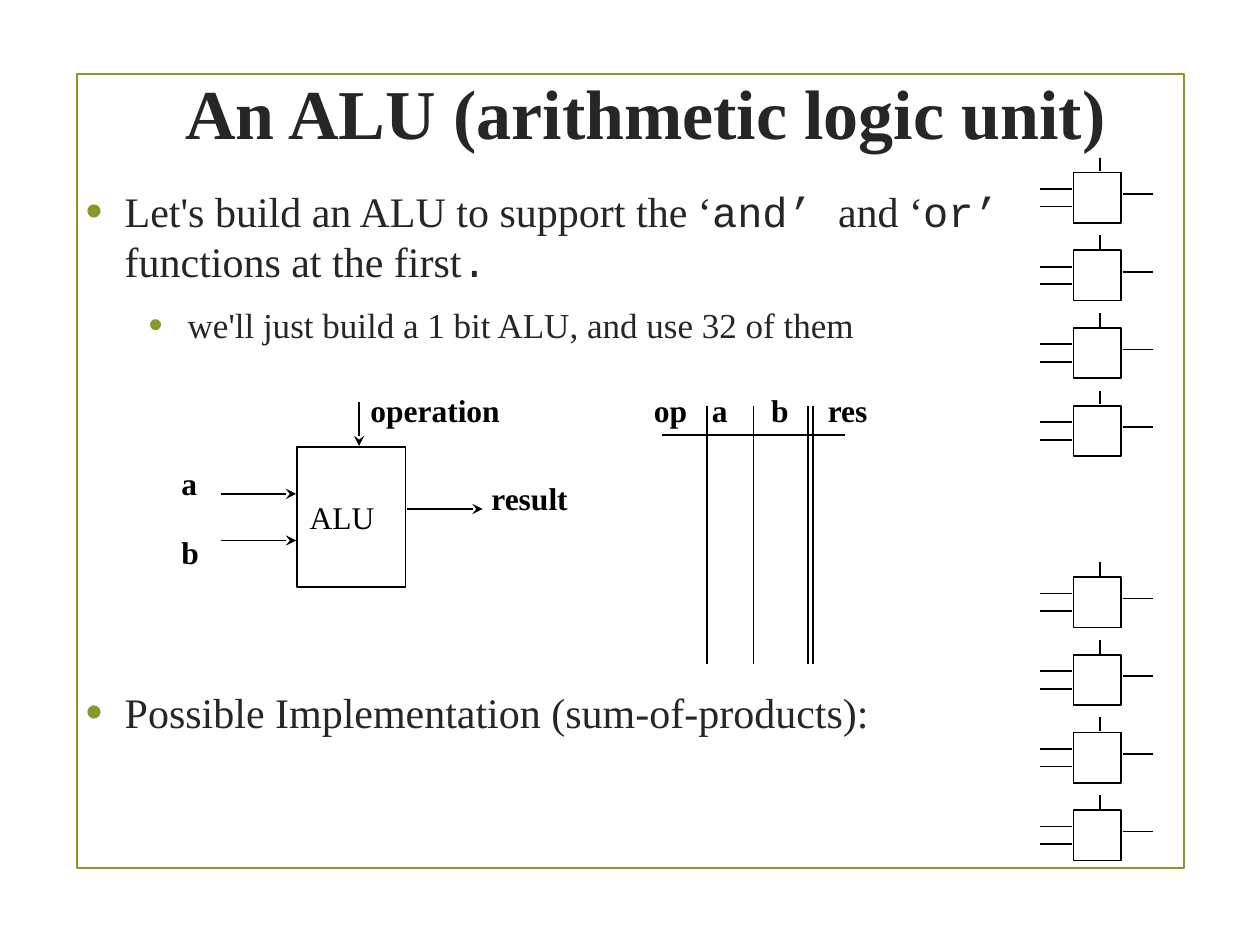
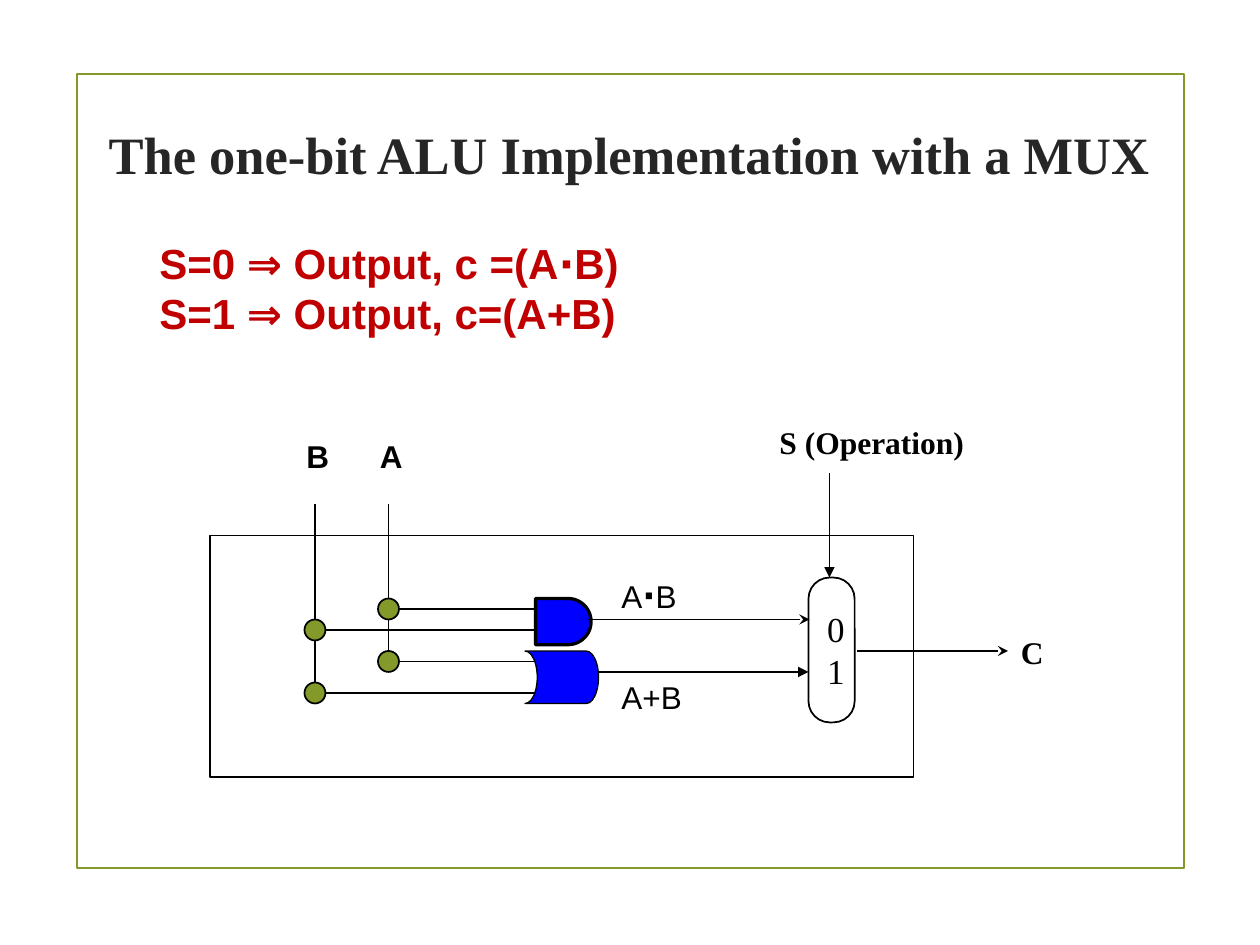
import math
import pptx
import pptx.util
import pptx.dml.color
import pptx.enum.shapes
import pptx.enum.text
import pptx.oxml.ns
from lxml import etree

RGB = pptx.dml.color.RGBColor
Kind = pptx.enum.shapes.MSO_SHAPE
Align = pptx.enum.text.PP_ALIGN
Anchor = pptx.enum.text.MSO_ANCHOR
Inch = pptx.util.Inches
Pt = pptx.util.Pt
qn = pptx.oxml.ns.qn

BLACK = RGB(0, 0, 0)
WHITE = RGB(255, 255, 255)
INK = RGB(0x26, 0x26, 0x26)
OLIVE = RGB(0x83, 0x99, 0x2A)
BLUE = RGB(0, 0, 255)
RED = RGB(0xC0, 0, 0)
SERIF, SANS, MONO = "Times New Roman", "Arial", "Courier New"
CODE = {"font": MONO}
CELL = 1 / 12

FRAME = (0.61, 0.59, 8.79, 6.3)
LABEL = {"bold": True, "inset": (0.02, 0.03), "wrap": False,
         "lead": 27, "before": 6, "after": 6}

POINTS = [
    (0, None, ["Let's build an ALU to support the ‘", ("and’ ", CODE), "and ‘",
               ("or’", CODE), " functions at the first", (".", CODE)]),
    (1, None, ["we'll just build a 1 bit ALU, and use 32 of them"]),
    (0, 189, ["Possible Implementation (sum-of-products):"]),
]
TAGS = [
    (["a", "b"], (1.42, 3.58, 0.25, 1)),
    (["operation"], (2.92, 3, 1.44, 0.5)),
    (["result"], (3.88, 3.7, 0.88, 0.67)),
]
PINS = [
    (1.75, 3.92, 2.35, 3.92),
    (1.75, 4.29, 2.35, 4.29),
    (2.85, 3.19, 2.85, 3.54),
    (3.23, 4.04, 3.83, 4.04),
]
HEADS = [("op", 5.17), ("a", 5.63), ("b", 6.1), ("res", 6.55)]
RULES = [5.61, 5.98, 6.41, 6.45]
STACKS = [1.37, 4.58]
PITCH = 1.85 / 3
STUBS = [
    (-0.27, 0.13, -0.01, 0.13),
    (-0.27, 0.27, -0.01, 0.27),
    (0.21, -0.12, 0.21, -0.01),
    (0.39, 0.17, 0.63, 0.17),
]

WIRES = [
    (70, 59, 77.1, 59, 1, "stealth"),
    (81.6, 62, 96, 62, 1, "stealth"),
    (37, 63, 51, 63, 0.75, None),
    (30, 66, 51, 66, 0.75, None),
    (57, 64, 77, 64, 0.75, "triangle"),
    (70, 59, 56, 59, 1, None),
    (51, 58, 37, 58, 1, None),
    (37, 63, 37, 48, 1, None),
    (51, 60, 30, 60, 1, None),
    (30, 66, 30, 48, 1, None),
    (79, 45, 79, 55, 1, "triangle"),
]
DOTS = [(37, 58), (37, 63), (30, 60), (30, 66)]
NAMES = [
    (["S (Operation)"], (74, 39, 7.5, 8), LABEL),
    (["C"], (97, 59, 7.5, 8), LABEL),
    (["A"], (35, 41, 4, 4.8), {"font": SANS, "bold": True}),
    (["B"], (28, 41, 4, 4.8), {"font": SANS, "bold": True}),
    (["A+B"], (58, 64, 10, 4.8), {"font": SANS}),
    ([["A", ("⋅", {"size": 20, "bold": True}), "B"]], (58, 54, 10, 5.2),
     {"font": SANS}),
    (["S=0 ⇒ Output, c =(A⋅B)", "S=1 ⇒ Output, c=(A+B)"], (14, 22, 55, 11),
     {"font": SANS, "size": 24, "bold": True, "ink": RED}),
]


def cells(*nums):
    return [n * CELL for n in nums]


def write(frame, paras, size=18, font=SERIF, ink=BLACK, bold=False,
          align=Align.LEFT, anchor=Anchor.TOP, wrap=True, inset=(0.1, 0.05),
          lead=None, before=None, after=None):
    frame.auto_size = pptx.enum.text.MSO_AUTO_SIZE.NONE
    frame.word_wrap = wrap
    frame.vertical_anchor = anchor
    frame.margin_left = frame.margin_right = Inch(inset[0])
    frame.margin_top = frame.margin_bottom = Inch(inset[1])
    for i, runs in enumerate(paras):
        para = frame.add_paragraph() if i else frame.paragraphs[0]
        para.alignment = align
        if lead:
            para.line_spacing = Pt(lead)
        if before is not None:
            para.space_before = Pt(before)
        if after is not None:
            para.space_after = Pt(after)
        for part in [runs] if isinstance(runs, str) else runs:
            text, own = (part, {}) if isinstance(part, str) else part
            run = para.add_run()
            run.text = text
            run.font.size = Pt(own.get("size", size))
            run.font.name = own.get("font", font)
            run.font.bold = own.get("bold", bold)
            run.font.color.rgb = ink


def place(item, area):
    item.left, item.top, item.width, item.height = map(Inch, area)


def paint(item, fill, edge, weight):
    item.shadow.inherit = False
    if fill is None:
        item.fill.background()
    else:
        item.fill.solid()
        item.fill.fore_color.rgb = fill
    item.line.color.rgb = edge
    item.line.width = Pt(weight)
    return item


def shape(slide, kind, area, fill=WHITE, edge=BLACK, weight=1):
    item = slide.shapes.add_shape(kind, *map(Inch, area))
    return paint(item, fill, edge, weight)


def label(slide, paras, area, **form):
    box = slide.shapes.add_textbox(*map(Inch, area))
    write(box.text_frame, paras, **form)


def wire(slide, ends, weight=1, tip=None):
    link = slide.shapes.add_connector(
        pptx.enum.shapes.MSO_CONNECTOR.STRAIGHT, *map(Inch, ends))
    link.line.color.rgb = BLACK
    link.line.width = Pt(weight)
    props = link._element.spPr
    if tip:
        etree.SubElement(props.find(qn("a:ln")), qn("a:tailEnd"), type=tip)
    etree.SubElement(props, qn("a:effectLst"))


def bullet(para, level):
    para.level = level
    props = para._p.get_or_add_pPr()
    props.set("marL", str(Inch(0.31 + level / 2)))
    props.set("indent", str(Inch(-0.31)))
    tint = etree.SubElement(props, qn("a:buClr"))
    etree.SubElement(tint, qn("a:srgbClr"), val=str(OLIVE))
    etree.SubElement(props, qn("a:buSzPct"), val="115000")
    etree.SubElement(props, qn("a:buFont"), typeface=SANS)
    etree.SubElement(props, qn("a:buChar"), char="•")


def start(deck, layout, title, area, size):
    slide = deck.slides.add_slide(deck.slide_layouts[layout])
    shape(slide, Kind.RECTANGLE, FRAME, None, OLIVE, 1.25)
    place(slide.shapes.title, area)
    write(slide.shapes.title.text_frame, [title], size=size, ink=INK,
          bold=True, align=Align.CENTER, anchor=Anchor.MIDDLE)
    return slide


def intro(deck):
    slide = start(deck, 1, "An ALU (arithmetic logic unit)",
                  (0.75, 0.17, 8.75, 1.43), 40)
    body = slide.placeholders[1]
    place(body, (0.58, 1.42, 8.42, 5.33))
    write(body.text_frame, [runs for _, _, runs in POINTS], size=24,
          ink=INK, after=6)
    for para, (level, gap, _) in zip(body.text_frame.paragraphs, POINTS):
        if gap:
            para.space_before = Pt(gap)
        for run in para.runs:
            run.font.size = Pt(24 - 4 * level)
        bullet(para, level)

    unit = shape(slide, Kind.RECTANGLE, (2.36, 3.55, 0.86, 1.11))
    write(unit.text_frame, ["ALU"], anchor=Anchor.MIDDLE, wrap=False)
    for ends in PINS:
        wire(slide, ends, tip="stealth")
    for paras, area in TAGS:
        label(slide, paras, area, **LABEL)

    for x in RULES:
        wire(slide, (x, 3.22, x, 5.27))
    wire(slide, (5.25, 3.45, 6.71, 3.45))
    for text, x in HEADS:
        label(slide, [text], (x, 3, 0.6, 0.67), **LABEL)

    x = 8.52
    for top in STACKS:
        for row in range(4):
            y = top + row * PITCH
            shape(slide, Kind.RECTANGLE, (x, y, 0.38, 0.4))
            for x1, y1, x2, y2 in STUBS:
                wire(slide, (x + x1, y + y1, x + x2, y + y2))


def gate(slide, left, top, flat, half):
    turns = [math.radians(a) for a in range(-90, 91, 6)]
    arc = [(left + flat + half * math.cos(t), top + half + half * math.sin(t))
           for t in turns]
    dots = [tuple(map(Inch, cells(*p))) for p in arc + [(left, top + 2 * half)]]
    pen = slide.shapes.build_freeform(*map(Inch, cells(left, top)))
    pen.add_line_segments(dots, close=True)
    paint(pen.convert_to_shape(), BLUE, BLACK, 1.88)


def mux(deck):
    slide = start(deck, 5, "The one-bit ALU Implementation with a MUX",
                  (0.58, 0.5, 8.83, 1.43), 30)
    pick = shape(slide, Kind.ROUNDED_RECTANGLE, cells(77, 55, 4.4, 13.8))
    pick.adjustments[0] = 0.46
    write(pick.text_frame, ["0", "1"], size=20, anchor=Anchor.MIDDLE,
          wrap=False)
    gate(slide, 51, 57, 3.1, 2.2)
    store = shape(slide, Kind.FLOWCHART_STORED_DATA, cells(50, 62, 7, 5),
                  BLUE, BLACK, 0.75)
    store.rotation = 180
    for *ends, weight, tip in WIRES:
        wire(slide, cells(*ends), weight, tip)
    for x, y in DOTS:
        shape(slide, Kind.OVAL, cells(x - 1, y - 1, 2, 2), OLIVE)
    shape(slide, Kind.RECTANGLE, cells(20, 51, 67, 23), None)
    for paras, area, form in NAMES:
        label(slide, paras, cells(*area), **form)


def main():
    deck = pptx.Presentation()
    deck.slide_width, deck.slide_height = Inch(10), Inch(7.5)
    intro(deck)
    mux(deck)
    deck.save("out.pptx")


if __name__ == "__main__":
    main()
